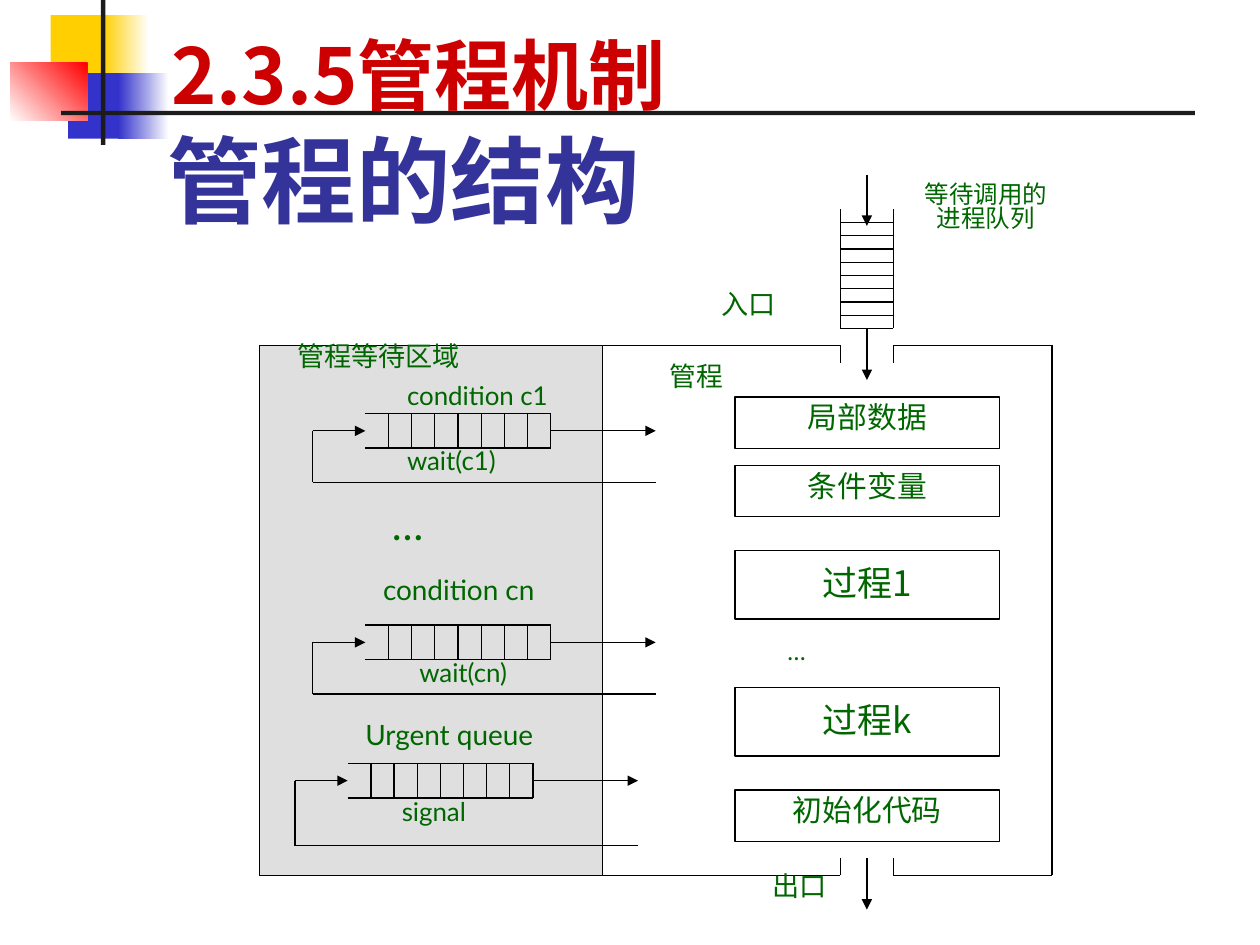
from dataclasses import dataclass

import pptx
import pptx.dml.color
import pptx.enum.shapes
import pptx.enum.text
import pptx.oxml
import pptx.oxml.ns
import pptx.util
from lxml import etree

Pt = pptx.util.Pt
Align = pptx.enum.text.PP_ALIGN
Anchor = pptx.enum.text.MSO_ANCHOR
qn = pptx.oxml.ns.qn

LATIN, CHINESE = "Lato", "Noto Sans CJK SC"
GREEN, BLACK, WHITE = "006600", "000000", "FFFFFF"


@dataclass
class Queue:
    """A waiting queue with its feedback loop."""
    left: float
    top: float
    loop_bottom: float


@dataclass
class Label:
    text: str
    box: tuple[float, float, float, float]
    size: float
    font: str = CHINESE
    align: Align = Align.CENTER
    spacing: float = 1.0


@dataclass
class Module:
    """A white box inside the monitor."""
    text: str
    top: float
    height: float
    size: float
    spacing: float
    inset: float


def color(value: str) -> pptx.dml.color.RGBColor:
    return pptx.dml.color.RGBColor.from_string(value)


def write(shape, text: str, *, size: float, font: str = CHINESE, fill: str = GREEN,
          bold: bool = False, align: Align = Align.LEFT, anchor: Anchor = Anchor.TOP,
          spacing: float = 1.0, insets: tuple[float, float] = (0, 0)) -> None:
    frame = shape.text_frame
    frame.word_wrap = True
    frame.auto_size = pptx.enum.text.MSO_AUTO_SIZE.NONE
    frame.vertical_anchor = anchor
    frame.margin_left = frame.margin_right = Pt(insets[0])
    frame.margin_top = frame.margin_bottom = Pt(insets[1])
    paragraph = frame.paragraphs[0]
    paragraph.alignment = align
    paragraph.line_spacing = spacing
    run = paragraph.add_run()
    run.text = text
    run.font.size = Pt(size)
    run.font.bold = bold
    run.font.name = font
    run.font.color.rgb = color(fill)
    east_asian = etree.SubElement(run.font._element, qn("a:ea"))
    east_asian.set("typeface", font)


def add_box(slide, left: float, top: float, width: float, height: float, fill: str,
            outline: str | None = None):
    shape = slide.shapes.add_shape(pptx.enum.shapes.MSO_SHAPE.RECTANGLE,
                                   Pt(left), Pt(top), Pt(width), Pt(height))
    shape.shadow.inherit = False
    shape.fill.solid()
    shape.fill.fore_color.rgb = color(fill)
    if outline:
        shape.line.color.rgb = color(outline)
        shape.line.width = Pt(0.75)
    else:
        shape.line.fill.background()
    return shape


def add_gradient(shape, start: str, end: str, angle: float) -> None:
    shape.fill.gradient()
    shape.fill.gradient_angle = angle
    for stop, value, position in zip(shape.fill.gradient_stops, (start, end), (0, 1)):
        stop.color.rgb = color(value)
        stop.position = position


def add_line(slide, x1: float, y1: float, x2: float, y2: float, arrow: bool = False) -> None:
    line = slide.shapes.add_connector(pptx.enum.shapes.MSO_CONNECTOR.STRAIGHT,
                                      Pt(x1), Pt(y1), Pt(x2), Pt(y2))
    line.line.color.rgb = color(BLACK)
    line.line.width = Pt(0.75)
    if arrow:
        etree.SubElement(line.line._get_or_add_ln(), qn("a:tailEnd")).set("type", "triangle")
    etree.SubElement(line._element.spPr, qn("a:effectLst"))


def add_queue(slide, queue: Queue) -> None:
    width, height, cells = 105.9, 19.8, 8
    right, bottom = queue.left + width, queue.top + height
    middle = queue.top + height / 2
    loop_left, outside = queue.left - 30.2, right + 60
    for y in (queue.top, bottom):
        add_line(slide, queue.left, y, right, y)
    for cell in range(1, cells + 1):
        x = queue.left + cell * width / cells
        add_line(slide, x, queue.top, x, bottom)
    add_line(slide, outside, queue.loop_bottom, loop_left, queue.loop_bottom)
    add_line(slide, loop_left, queue.loop_bottom, loop_left, middle)
    add_line(slide, loop_left, middle, queue.left, middle, arrow=True)
    add_line(slide, right, middle, outside, middle, arrow=True)


QUEUES = [Queue(208.8, 236.3, 275.7), Queue(208.8, 357.2, 396.6), Queue(198.7, 436.2, 483.2)]

MODULES = [
    Module("局部数据", 226.8, 29.4, 17, 0.9, 3.6),
    Module("条件变量", 265.9, 29.4, 17, 0.9, 3.6),
    Module("过程1", 314.6, 39.2, 20, 1.0, 6.5),
    Module("过程k", 392.8, 39.2, 20, 1.0, 6.5),
    Module("初始化代码", 451.4, 29.4, 17, 0.9, 3.6),
]

LABELS = [
    Label("condition c1", (232.6, 223.2, 97.2, 11.5), 14.8, LATIN, Align.JUSTIFY, 0.6),
    Label("wait(c1)", (232.6, 260.6, 77, 12.2), 14.8, LATIN, Align.JUSTIFY, 0.6),
    Label("…", (223.9, 285.1, 77, 49), 24, LATIN, Align.JUSTIFY),
    Label("condition cn", (218.9, 332.6, 100.8, 15.1), 16, LATIN, Align.JUSTIFY, 0.7),
    Label("wait(cn)", (239.6, 381.6, 70, 12.2), 14.8, LATIN, Align.JUSTIFY, 0.6),
    Label("Urgent queue", (208.8, 415.4, 121, 15.1), 16, LATIN, Align.JUSTIFY, 0.7),
    Label("signal", (229.6, 460.8, 70, 12.2), 14.8, LATIN, Align.JUSTIFY, 0.6),
    Label("出口", (418.3, 500.4, 77, 19.4), 15.5, spacing=0.8),
    Label("入口", (389.5, 167.8, 77, 19.4), 15.5, spacing=0.8),
    Label("管程", (359.3, 207.4, 77, 19.4), 15.3, spacing=0.9),
    Label("等待调用的进程队列", (525.6, 105.8, 75.6, 38.9), 14, spacing=0.8),
    Label("管程等待区域", (148.3, 197.3, 136.1, 19.4), 15.5, spacing=0.8),
    Label("…", (450, 363.6, 90.7, 19.4), 14, LATIN, Align.LEFT),
]


def main() -> None:
    presentation = pptx.Presentation()
    presentation.slide_width, presentation.slide_height = Pt(720), Pt(540)
    slide = presentation.slides.add_slide(presentation.slide_layouts[5])

    # Corner decoration
    add_box(slide, 29, 8.6, 34.6, 37.4, "FFCF01")
    add_gradient(add_box(slide, 59, 8.6, 26, 37.4, WHITE), "FFCF01", WHITE, 0)
    add_box(slide, 39, 41.8, 33.1, 37.4, "3333CC")
    add_gradient(add_box(slide, 67.7, 41.8, 28.8, 37.4, WHITE), "3333CC", WHITE, 0)
    add_gradient(add_box(slide, 5.8, 36, 44, 33.1, WHITE), WHITE, "FF0000", 45)
    add_box(slide, 57.6, 0, 2.6, 82.8, "1C1C1C")
    add_box(slide, 34.9, 63.4, 648, 2.5, "1C1C1C")

    # Title and subtitle
    title = slide.shapes.title
    title.left, title.top, title.width, title.height = Pt(90.7), Pt(5.8), Pt(617), Pt(66.2)
    slide.shapes._spTree.append(title._element)
    write(title, "2.3.5管程机制", size=44, fill="CC0000", bold=True,
          anchor=Anchor.BOTTOM, insets=(7.2, 3.6))
    subtitle = slide.shapes.add_textbox(Pt(88.6), Pt(48.2), Pt(648), Pt(90))
    write(subtitle, "管程的结构", size=54, fill="333399", bold=True,
          anchor=Anchor.BOTTOM, insets=(7.2, 3.6))

    # Monitor and its waiting area
    top, bottom, divider, right = 197.4, 500.2, 344.4, 601.2
    gate_left, gate_right, gate_middle = 480.2, 510.5, 495.4
    add_box(slide, divider, top, 271.4, bottom - top, WHITE, WHITE)
    waiting_area = add_box(slide, 148.2, top, divider - 148.2, bottom - top, "C0C0C0", BLACK)
    fill_color = waiting_area._element.spPr.find(qn("a:solidFill"))[0]
    etree.SubElement(fill_color, qn("a:alpha")).set("val", "50000")
    for queue in QUEUES:
        add_queue(slide, queue)

    # Modules of the monitor
    for module in MODULES:
        box = add_box(slide, 420, module.top, 151.2, module.height, WHITE, BLACK)
        write(box, module.text, size=module.size, align=Align.CENTER,
              spacing=module.spacing, insets=(7.2, module.inset))

    # Monitor border, open at the entry and the exit
    for y, inner in ((top, top + 9.8), (bottom, bottom - 9.8)):
        add_line(slide, divider, y, gate_left, y)
        add_line(slide, gate_right, y, right, y)
        for x in (gate_left, gate_right):
            add_line(slide, x, y, x, inner)
    add_line(slide, right, top, right, bottom)

    # Entry queue
    queue_bottom = 187.7
    for x in (gate_left, gate_right):
        add_line(slide, x, 119.5, x, queue_bottom)
    for row in range(9):
        y = queue_bottom - row * 7.56
        add_line(slide, gate_left, y, gate_right, y)
    for start, end in ((100, 129.1), (queue_bottom, 217.2), (490.4, 519.8)):
        add_line(slide, gate_middle, start, gate_middle, end, arrow=True)

    # Labels
    for label in LABELS:
        box = slide.shapes.add_textbox(*map(Pt, label.box))
        write(box, label.text, size=label.size, font=label.font,
              align=label.align, spacing=label.spacing)

    presentation.save("out.pptx")


if __name__ == "__main__":
    main()
